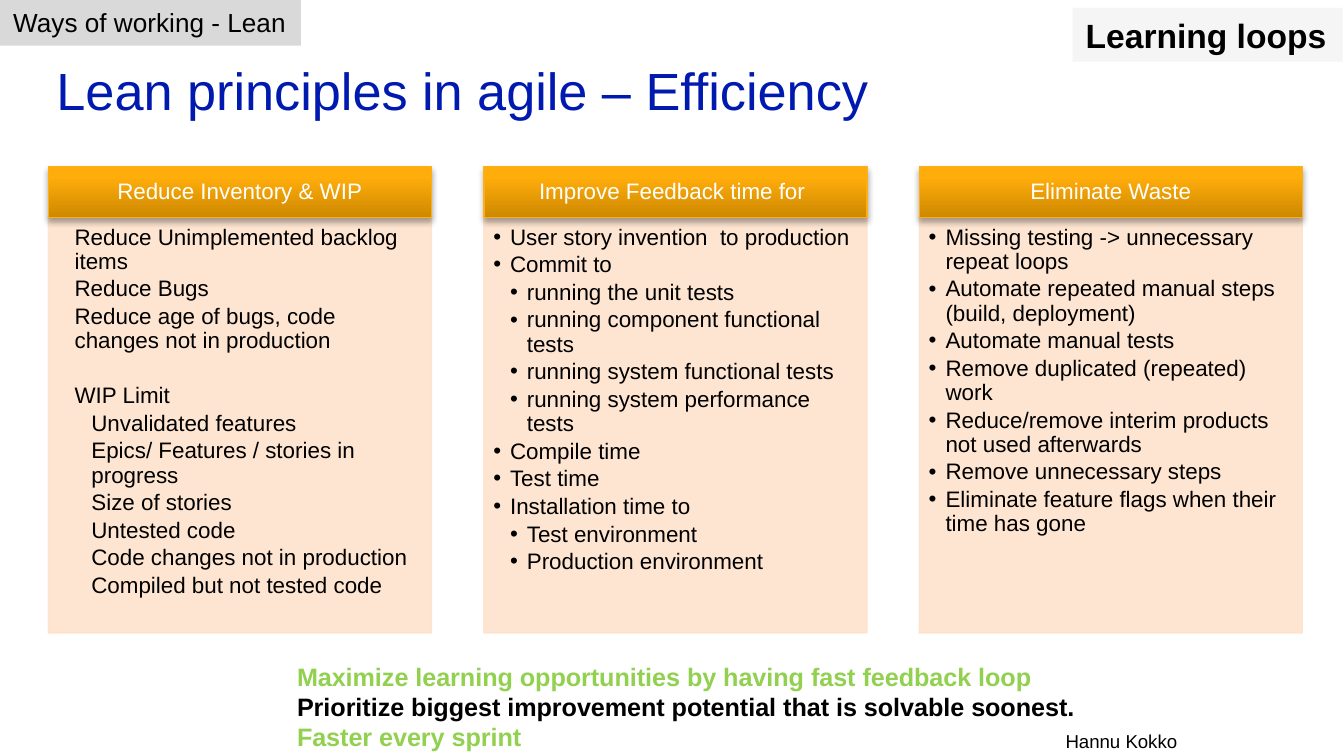
from dataclasses import dataclass
from typing import Optional

from lxml.etree import SubElement
from pptx import Presentation
from pptx.dml.color import RGBColor
from pptx.enum.shapes import MSO_SHAPE
from pptx.enum.text import MSO_ANCHOR as Anchor, MSO_AUTO_SIZE as AutoSize, PP_ALIGN as Align
from pptx.oxml.ns import qn
from pptx.util import Inches, Pt

COLORS = {
    "title": "0019AF", "text": "000000", "white": "FFFFFF", "green": "92D050",
    "orange_dark": "CD8800", "orange": "FFAD0B", "orange_line": "FCAF17",
    "panel": "FEE3CC", "loops": "F5F5F5", "topic": "D9D9D9",
}
FONT = "Arial"
COLUMN_LEFT, COLUMN_STEP, COLUMN_WIDTH = 0.36, 3.24, 2.85
HEADER_TOP, HEADER_HEIGHT = 1.24, 0.38
PANEL_TOP, PANEL_HEIGHT = 1.61, 3.1
INDENT = 0.125


@dataclass
class Item:
    text: str
    level: int = 0
    before: float = 0


@dataclass
class Column:
    header: str
    items: list[Item]
    bulleted: bool = True


@dataclass
class Label:
    text: str
    box: tuple[float, float, float, float]
    size: float
    bold: bool = False
    fill: Optional[str] = None


COLUMNS = [
    Column("Reduce Inventory & WIP", [
        Item("Reduce Unimplemented backlog items"),
        Item("Reduce Bugs"),
        Item("Reduce age of bugs, code changes not in production"),
        Item("WIP Limit", before=14.6),
        Item("Unvalidated features", 1),
        Item("Epics/ Features / stories in progress", 1),
        Item("Size of stories", 1),
        Item("Untested code", 1),
        Item("Code changes not in production", 1),
        Item("Compiled but not tested code", 1),
    ], bulleted=False),
    Column("Improve Feedback time for ", [
        Item("User story invention  to production"),
        Item("Commit to"),
        Item("running the unit tests", 1),
        Item("running component functional tests", 1),
        Item("running system functional tests", 1),
        Item("running system performance tests", 1),
        Item("Compile time"),
        Item("Test time"),
        Item("Installation time to"),
        Item("Test environment", 1),
        Item("Production environment", 1),
    ]),
    Column("Eliminate Waste", [
        Item("Missing testing -> unnecessary repeat loops"),
        Item("Automate repeated manual steps (build, deployment)"),
        Item("Automate manual tests"),
        Item("Remove duplicated (repeated) work"),
        Item("Reduce/remove interim products not used afterwards"),
        Item("Remove unnecessary steps"),
        Item("Eliminate feature flags when their time has gone"),
    ]),
]
CLOSING = [
    ("Maximize learning opportunities by having fast feedback loop", "green"),
    ("Prioritize biggest improvement potential that is solvable soonest.", "text"),
    ("Faster every sprint", "green"),
]
LABELS = [
    Label("Learning loops", (7.98, 0.06, 2.01, 0.4), 18, bold=True, fill="loops"),
    Label("Ways of working - Lean", (0, 0, 2.24, 0.34), 14, fill="topic"),
    Label("Hannu Kokko", (7.83, 5.38, 1.04, 0.27), 10),
]


def rgb(name: str) -> RGBColor:
    return RGBColor.from_string(COLORS[name])


def place(sp, left: float, top: float, width: float, height: float) -> None:
    sp.left, sp.top = Inches(left), Inches(top)
    sp.width, sp.height = Inches(width), Inches(height)


def setup_frame(tf, margins=(0.1, 0.05, 0.1, 0.05), anchor=Anchor.TOP, wrap=True) -> None:
    """Set margins (left, top, right, bottom), anchor and wrapping."""
    tf.margin_left, tf.margin_top, tf.margin_right, tf.margin_bottom = map(Inches, margins)
    tf.auto_size = AutoSize.NONE
    tf.vertical_anchor, tf.word_wrap = anchor, wrap


def add_text(tf, text: str, *, size: float, color: str = "text", bold: bool = False,
             align=Align.LEFT, spacing: float = 1, before: float = 0, after: float = 0):
    """Write into the empty first paragraph, or into a new one."""
    p = tf.paragraphs[0] if not tf.text else tf.add_paragraph()
    p.alignment, p.line_spacing = align, spacing
    p.space_before, p.space_after = Pt(before), Pt(after)
    r = p.add_run()
    r.text = text
    r.font.name, r.font.size, r.font.bold = FONT, Pt(size), bold
    r.font.color.rgb = rgb(color)
    return p


def set_bullet(p, left: float = 0, bulleted: bool = False) -> None:
    pPr = p._p.get_or_add_pPr()
    pPr.set("marL", str(Inches(left)))
    pPr.set("indent", str(-Inches(INDENT) if bulleted else 0))
    if bulleted:
        SubElement(pPr, qn("a:buFont"), typeface=FONT)
        SubElement(pPr, qn("a:buChar"), char="•")
    else:
        SubElement(pPr, qn("a:buNone"))


def add_rect(s, box: tuple[float, float, float, float]):
    sp = s.shapes.add_shape(MSO_SHAPE.RECTANGLE, *map(Inches, box))
    sp.shadow.inherit = False
    return sp


def draw_header(s, left: float, text: str) -> None:
    sp = add_rect(s, (left, HEADER_TOP, COLUMN_WIDTH, HEADER_HEIGHT))
    sp.fill.gradient()
    sp.fill.gradient_angle = 90
    stops = sp.fill.gradient_stops
    for stop, color, position in zip(stops, ("orange_dark", "orange"), (0, 0.8)):
        stop.color.rgb, stop.position = rgb(color), position
    sp.line.color.rgb, sp.line.width = rgb("orange_line"), Pt(0.75)
    effects = sp._element.spPr.find(qn("a:effectLst"))
    shadow = SubElement(effects, qn("a:outerShdw"), blurRad=str(Pt(3.1)),
                        dist=str(Pt(1.8)), dir="5400000", rotWithShape="0")
    shade = SubElement(shadow, qn("a:srgbClr"), val=COLORS["text"])
    SubElement(shade, qn("a:alpha"), val="35000")
    setup_frame(sp.text_frame, (0.09, 0.05, 0.09, 0.05), Anchor.MIDDLE)
    add_text(sp.text_frame, text, size=12, color="white", align=Align.CENTER, spacing=0.9)


def fill_panel(sp, left: float, column: Column) -> None:
    place(sp, left, PANEL_TOP, COLUMN_WIDTH, PANEL_HEIGHT)
    sp.fill.solid()
    sp.fill.fore_color.rgb = rgb("panel")
    sp.line.color.rgb, sp.line.width = rgb("panel"), Pt(0.75)
    for color in sp._element.spPr.iter(qn("a:srgbClr")):
        SubElement(color, qn("a:alpha"), val="90000")
    setup_frame(sp.text_frame, (0.07, 0.07, 0.09, 0.1))
    for item in column.items:
        p = add_text(sp.text_frame, item.text, size=12, spacing=0.9,
                     before=item.before, after=1.85)
        p.level = item.level
        set_bullet(p, INDENT * (item.level + 1), column.bulleted)


def draw_label(s, label: Label) -> None:
    if label.fill:
        sp = add_rect(s, label.box)
        sp.fill.solid()
        sp.fill.fore_color.rgb = rgb(label.fill)
        sp.line.fill.background()
    else:
        sp = s.shapes.add_textbox(*map(Inches, label.box))
    setup_frame(sp.text_frame, wrap=False)
    add_text(sp.text_frame, label.text, size=label.size, bold=label.bold)


def main() -> None:
    prs = Presentation()
    prs.slide_width = Inches(10)
    prs.slide_height = prs.slide_width * 9 // 16
    s = prs.slides.add_slide(prs.slide_layouts.get_by_name("Comparison"))
    title, *panels, closing = s.placeholders

    place(title, 0.39, 0.26, 9.31, 0.81)
    setup_frame(title.text_frame, (0.03,) * 4, Anchor.MIDDLE)
    add_text(title.text_frame, "Lean principles in agile – Efficiency", size=28, color="title")

    for i, (panel, column) in enumerate(zip(panels, COLUMNS)):
        left = COLUMN_LEFT + i * COLUMN_STEP
        fill_panel(panel, left, column)
        draw_header(s, left, column.header)

    place(closing, 2.11, 4.87, 6.12, 0.78)
    setup_frame(closing.text_frame, wrap=False)
    for text, color in CLOSING:
        set_bullet(add_text(closing.text_frame, text, size=13.5, color=color, bold=True))

    for label in LABELS:
        draw_label(s, label)
    prs.save("out.pptx")


if __name__ == "__main__":
    main()
